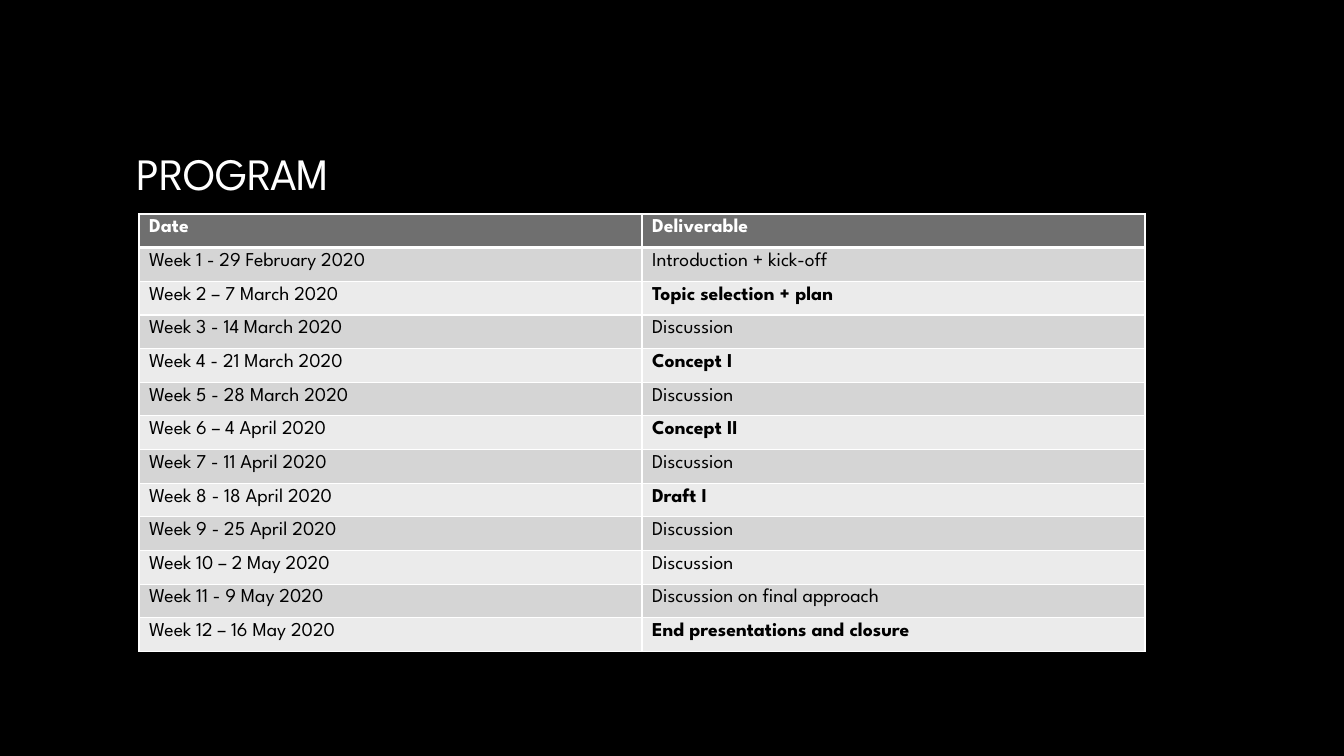
import pptx
import pptx.dml.color
import pptx.enum.text
import pptx.oxml
import pptx.oxml.ns
import pptx.util

RGBColor = pptx.dml.color.RGBColor
BLACK = RGBColor(0x00, 0x00, 0x00)
WHITE = RGBColor(0xFF, 0xFF, 0xFF)
HEADER_GRAY = RGBColor(0x6F, 0x6F, 0x6F)
BAND_GRAYS = (RGBColor(0xD5, 0xD5, 0xD5), RGBColor(0xEB, 0xEB, 0xEB))

FONT = "League Spartan"
PX_PER_INCH = 100.8

# Date, deliverable, whether the deliverable is a milestone
PROGRAM = [
    ("Week 1 - 29 February 2020", "Introduction + kick-off", False),
    ("Week 2 – 7 March 2020", "Topic selection + plan", True),
    ("Week 3 - 14 March 2020", "Discussion", False),
    ("Week 4 - 21 March 2020", "Concept I", True),
    ("Week 5 - 28 March 2020", "Discussion", False),
    ("Week 6 – 4 April 2020", "Concept II", True),
    ("Week 7 - 11 April 2020", "Discussion", False),
    ("Week 8 - 18 April 2020", "Draft I", True),
    ("Week 9 - 25 April 2020", "Discussion", False),
    ("Week 10 – 2 May 2020", "Discussion", False),
    ("Week 11 - 9 May 2020", "Discussion on final approach", False),
    ("Week 12 – 16 May 2020", "End presentations and closure", True),
]


def px(length):
    return pptx.util.Inches(length / PX_PER_INCH)


class SlideBuilder:
    def __init__(self, slide):
        self.slide = slide

    def background(self, color):
        fill = self.slide.background.fill
        fill.solid()
        fill.fore_color.rgb = color

    def format_runs(self, text_frame, size, color, bold=False):
        for paragraph in text_frame.paragraphs:
            for run in paragraph.runs:
                run.font.name = FONT
                run.font.size = pptx.util.Pt(size)
                run.font.bold = bold
                run.font.color.rgb = color

    def title(self, text, left, top, width, height):
        title = self.slide.shapes.title
        title.left, title.top = px(left), px(top)
        title.width, title.height = px(width), px(height)
        text_frame = title.text_frame
        text_frame.text = text
        text_frame.vertical_anchor = pptx.enum.text.MSO_ANCHOR.MIDDLE
        text_frame.paragraphs[0].alignment = pptx.enum.text.PP_ALIGN.LEFT
        self.format_runs(text_frame, 32, WHITE)

    def border(self, cell, **widths):
        """Draw white cell borders, with widths in points keyed by side: L, R, T, B."""
        properties = cell._tc.get_or_add_tcPr()
        for index, (side, width) in enumerate(widths.items()):
            line = pptx.oxml.parse_xml(
                f'<a:ln{side} {pptx.oxml.ns.nsdecls("a")} w="{pptx.util.Pt(width)}">'
                f'<a:solidFill><a:srgbClr val="{WHITE}"/></a:solidFill></a:ln{side}>'
            )
            properties.insert(index, line)

    def cell(self, cell, text, fill, color, bold):
        cell.text = text
        cell.fill.solid()
        cell.fill.fore_color.rgb = fill
        self.format_runs(cell.text_frame, 14, color, bold)

    def table(self, header, rows, left, top, width, height):
        """Draw a banded table; each row ends with a flag that makes its last cell bold."""
        row_count = len(rows) + 1
        frame = self.slide.shapes.add_table(
            row_count, len(header), px(left), px(top), px(width), px(height)
        )
        table = frame.table
        for row in table.rows:
            row.height = px(height / row_count)
        for column, text in enumerate(header):
            cell = table.cell(0, column)
            self.cell(cell, text, HEADER_GRAY, WHITE, True)
            self.border(cell, L=1, R=1, T=1, B=3)
        for number, (*texts, milestone) in enumerate(rows, start=1):
            fill = BAND_GRAYS[(number - 1) % 2]
            for column, text in enumerate(texts):
                cell = table.cell(number, column)
                bold = milestone and column == len(texts) - 1
                self.cell(cell, text, fill, BLACK, bold)
                self.border(cell, L=1, R=1, T=3 if number == 1 else 1, B=1)


def main():
    presentation = pptx.Presentation()
    presentation.slide_width = px(1344)
    presentation.slide_height = px(756)
    title_only = presentation.slide_layouts.get_by_name("Title Only")
    builder = SlideBuilder(presentation.slides.add_slide(title_only))
    builder.background(BLACK)
    builder.title("PROGRAM", 126, 68, 1092, 209)
    builder.table(("Date", "Deliverable"), PROGRAM, 139, 214, 1006, 438)
    presentation.save("out.pptx")


if __name__ == "__main__":
    main()
